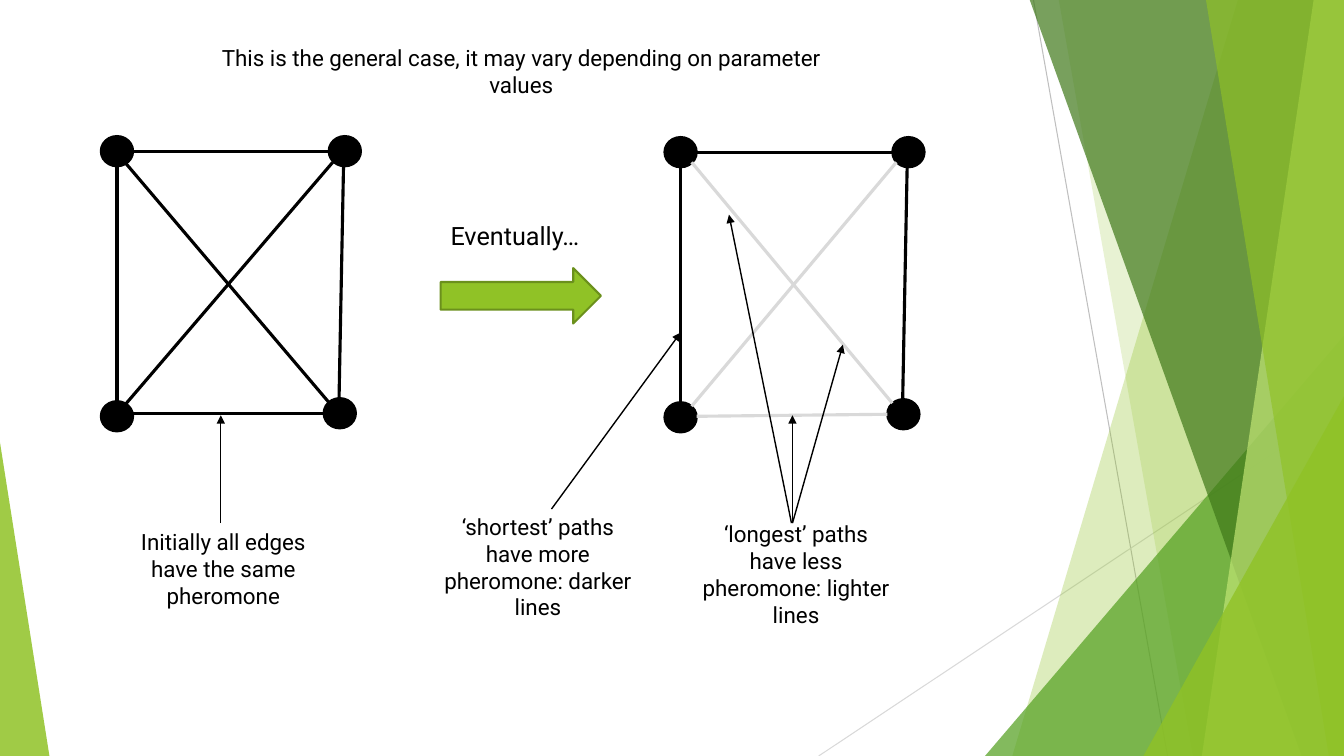
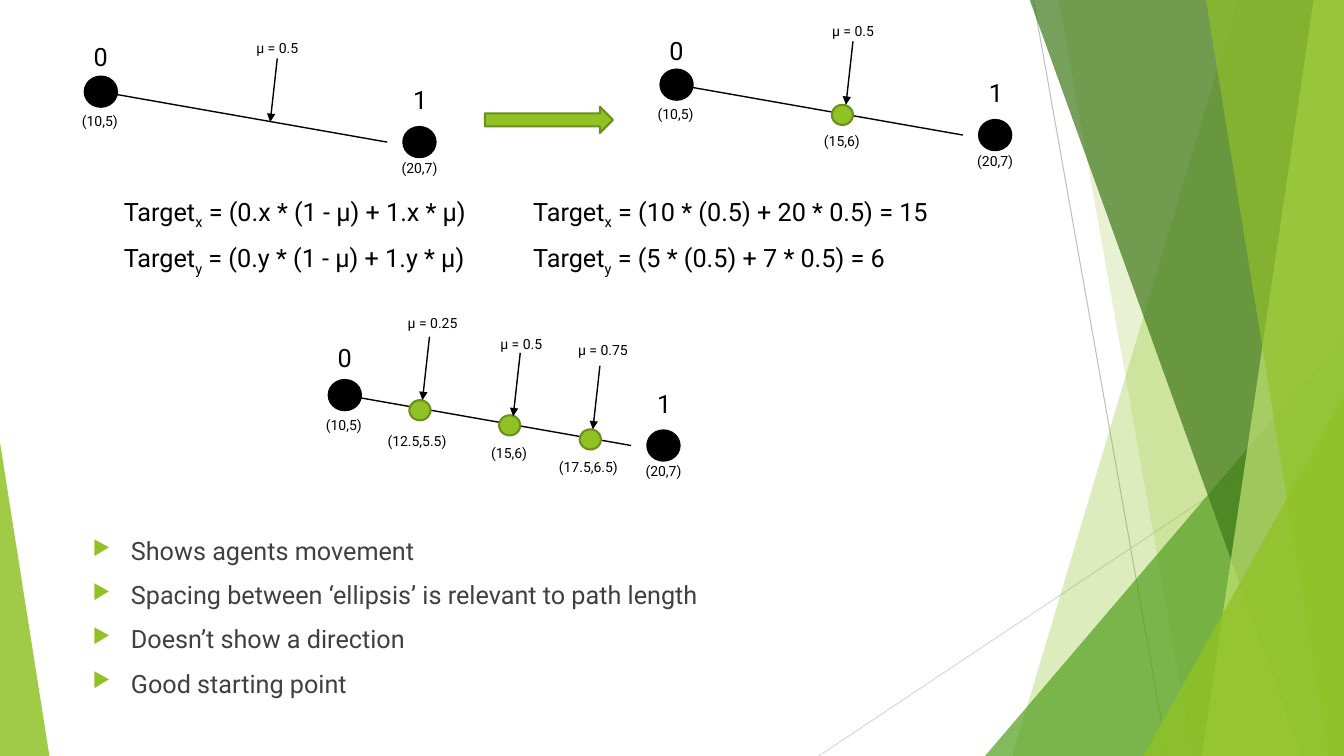
import lxml.etree
import pptx
import pptx.dml.color
import pptx.enum.shapes
import pptx.enum.text
import pptx.oxml.ns
import pptx.util

EMU_PER_PX = 9144
WIDTH, HEIGHT = 1333, 750
FONT = "Roboto"
BLACK, GREY, PALE = "000000", "404040", "D9D9D9"
GREEN, GREEN_EDGE = "90C226", "6B901C"
SHAPES = pptx.enum.shapes.MSO_SHAPE
ALIGN = pptx.enum.text.PP_ALIGN


def px(length):
    return pptx.util.Emu(length * EMU_PER_PX)


def rgb(color):
    return pptx.dml.color.RGBColor.from_string(color)


def add_xml(parent, tag, **attributes):
    return lxml.etree.SubElement(parent, pptx.oxml.ns.qn(tag), attributes)


def paint(shape, fill, edge=None, opacity=100):
    shape.shadow.inherit = False
    shape.fill.solid()
    shape.fill.fore_color.rgb = rgb(fill)
    if opacity < 100:
        tint = shape.element.spPr.find(".//" + pptx.oxml.ns.qn("a:srgbClr"))
        add_xml(tint, "a:alpha", val=str(opacity * 1000))
    if edge:
        shape.line.color.rgb = rgb(edge)
        shape.line.width = pptx.util.Pt(1.5)
    else:
        shape.line.fill.background()
    return shape


def add_preset(slide, preset, box, fill, edge=None, opacity=100):
    shape = slide.shapes.add_shape(preset, *map(px, box))
    return paint(shape, fill, edge, opacity)


def add_line(slide, start, end, color=BLACK, weight=1, arrow=False):
    line = slide.shapes.add_connector(
        pptx.enum.shapes.MSO_CONNECTOR.STRAIGHT, *map(px, (*start, *end)))
    line.line.color.rgb = rgb(color)
    line.line.width = pptx.util.Pt(weight)
    properties = line.element.spPr
    if arrow:
        add_xml(properties.find(pptx.oxml.ns.qn("a:ln")), "a:tailEnd", type="triangle")
    add_xml(properties, "a:effectLst")
    return line


def format_run(run, size, color=BLACK):
    run.font.name = FONT
    run.font.size = pptx.util.Pt(size)
    run.font.color.rgb = rgb(color)


def add_frame(slide, box):
    frame = slide.shapes.add_textbox(*map(px, box)).text_frame
    frame.word_wrap = True
    return frame


def add_label(slide, text, box, size, align=ALIGN.CENTER):
    frame = add_frame(slide, box)
    frame.text = text
    paragraph = frame.paragraphs[0]
    paragraph.alignment = align
    format_run(paragraph.runs[0], size)


def add_small_label(slide, text, left, top, width=78):
    add_label(slide, text, (left, top, width, 27), 10)


def add_formula(slide, top, axis, general, worked):
    paragraph = add_frame(slide, (113, top, 859, 40)).paragraphs[0]
    pieces = [("Target", False), (axis, True), (f" = {general}\tTarget", False),
              (axis, True), (f" = {worked}", False)]
    for text, subscript in pieces:
        run = paragraph.add_run()
        run.text = text
        format_run(run, 18)
        if subscript:
            run.font._element.set("baseline", "-25000")
    tabs = add_xml(paragraph._p.get_or_add_pPr(), "a:tabLst")
    add_xml(tabs, "a:tab", pos=str(px(406)), algn="l")


def add_bullets(slide, items, box):
    frame = add_frame(slide, box)
    frame.text = "\n".join(items)
    for paragraph in frame.paragraphs:
        paragraph.space_before = pptx.util.Pt(10)
        format_run(paragraph.runs[0], 18, GREY)
        properties = paragraph._p.get_or_add_pPr()
        properties.set("marL", str(px(38)))
        properties.set("indent", str(px(-38)))
        add_xml(add_xml(properties, "a:buClr"), "a:srgbClr", val=GREEN)
        add_xml(properties, "a:buSzPct", val="80000")
        add_xml(properties, "a:buChar", char="▶")


def add_band(slide, top_left, top_right, bottom_left, color, opacity):
    builder = slide.shapes.build_freeform(top_left, -1, scale=EMU_PER_PX)
    builder.add_line_segments(
        [(top_right, -1), (WIDTH, HEIGHT), (bottom_left, HEIGHT)], close=True)
    return paint(builder.convert_to_shape(), color, opacity=opacity)


def add_wedge(slide, box, apex, color, opacity):
    wedge = add_preset(slide, SHAPES.ISOSCELES_TRIANGLE, box, color, opacity=opacity)
    wedge.adjustments[0] = apex
    return wedge


def decorate_layout(layout, slide):
    for placeholder in list(layout.placeholders):
        layout.shapes.element.remove(placeholder.element)
    scenery = [
        add_line(slide, (1025, 0), (1158, 750), "BFBFBF", 0.75),
        add_line(slide, (1333, 403), (812, 750), PALE, 0.75),
        add_band(slide, 1228, WIDTH, 1004, GREEN, 30),
        add_band(slide, 1050, WIDTH, 1183, GREEN, 20),
        add_wedge(slide, (977, 333, 356, 417), 1, "54A021", 72),
        add_band(slide, 1021, WIDTH, 1291, "3F7819", 70),
        add_band(slide, 1303, WIDTH, 1192, "C0E474", 70),
        add_band(slide, 1196, WIDTH, 1318, GREEN, 65),
        add_wedge(slide, (1134, 393, 199, 357), 1, GREEN, 80),
        add_wedge(slide, (0, 439, 49, 311), 0, GREEN, 85),
    ]
    for part in scenery:
        layout.shapes.element.append(part.element)


def add_node(slide, left, top):
    add_preset(slide, SHAPES.OVAL, (left, top, 32, 30), BLACK, BLACK)


def add_graph(slide, left, top, weak_edges, weak_color):
    for dx, dy in [(0, 0), (0, 263), (221, 260), (226, 0)]:
        add_node(slide, left + dx, top + dy)
    strong_edges = [((16, 30), (16, 263)), ((22, 15), (241, 15)), ((241, 15), (236, 275))]
    for edge in strong_edges:
        add_line(slide, *[(left + dx, top + dy) for dx, dy in edge], weight=2.25)
    for start, end in weak_edges:
        add_line(slide, start, end, weak_color, 2.25)


def add_segment(slide, left, top, zero_top):
    right, low = left + 316, top + 50
    add_node(slide, left, top)
    add_node(slide, right, low)
    add_line(slide, (left + 16, top + 15), (right - 16, low + 15))
    add_label(slide, "0", (left - 1, zero_top, 32, 40), 18, ALIGN.LEFT)
    add_label(slide, "1", (right, low - 47, 32, 40), 18, ALIGN.LEFT)
    add_small_label(slide, "(10,5)", left - 24, top + 31)
    add_small_label(slide, "(20,7)", right - 23, low + 27)


def add_pointer(slide, value, label_at, tip):
    add_small_label(slide, f"µ = {value}", *label_at)
    add_line(slide, (tip[0] + 7, tip[1] - 63), tip, arrow=True)


def add_target(slide, left, top, coordinates, label_box):
    add_preset(slide, SHAPES.OVAL, (left, top, 21, 20), GREEN, GREEN_EDGE)
    add_small_label(slide, coordinates, *label_box)


def add_block_arrow(slide, box):
    add_preset(slide, SHAPES.RIGHT_ARROW, box, GREEN, GREEN_EDGE)


def build_pheromone_slide(slide):
    add_graph(slide, 100, 135, [
        ((112, 147), (326, 399)), ((117, 410), (337, 410)), ((116, 411), (330, 161))], BLACK)
    add_graph(slide, 659, 136, [
        ((686, 161), (885, 400)), ((691, 413), (880, 411)), ((686, 403), (889, 161))], PALE)
    for start, end in [((219, 519), (219, 412)), ((786, 519), (786, 412)),
                       ((786, 519), (836, 342)), ((785, 519), (723, 213)),
                       ((547, 505), (675, 330))]:
        add_line(slide, start, end, arrow=True)
    add_block_arrow(slide, (437, 266, 159, 55))
    add_label(slide, "Eventually…", (437, 214, 194, 40), 18, ALIGN.LEFT)
    for text, box in [
        ("Initially all edges have the same pheromone", (116, 519, 211, 91)),
        ("‘shortest’ paths have more pheromone: darker lines", (428, 504, 211, 118)),
        ("‘longest’ paths have less pheromone: lighter lines", (684, 511, 211, 118)),
        ("This is the general case, it may vary depending on parameter values",
         (201, 39, 632, 64)),
    ]:
        add_label(slide, text, box, 16)


def build_target_slide(slide):
    for left, top, zero_top in [(84, 76, 36), (655, 69, 30), (326, 377, 335)]:
        add_segment(slide, left, top, zero_top)
    for left, top, coordinates, label_box in [
        (825, 104, "(15,6)", (796, 127)),
        (406, 397, "(12.5,5.5)", (369, 424, 89)),
        (495, 412, "(15,6)", (466, 436)),
        (575, 426, "(17.5,6.5)", (539, 450, 89)),
    ]:
        add_target(slide, left, top, coordinates, label_box)
    for value, label_at, tip in [
        ("0.5", (236, 34), (268, 121)),
        ("0.5", (807, 17), (839, 104)),
        ("0.25", (390, 307), (419, 397)),
        ("0.5", (478, 328), (509, 413)),
        ("0.75", (559, 334), (588, 426)),
    ]:
        add_pointer(slide, value, label_at, tip)
    add_block_arrow(slide, (481, 106, 127, 26))
    add_formula(slide, 190, "x", "(0.x * (1 - µ) + 1.x * µ)", "(10 * (0.5) + 20 * 0.5) = 15")
    add_formula(slide, 236, "y", "(0.y * (1 - µ) + 1.y * µ)", "(5 * (0.5) + 7 * 0.5) = 6")
    add_bullets(slide, [
        "Shows agents movement",
        "Spacing between ‘ellipsis’ is relevant to path length",
        "Doesn’t show a direction",
        "Good starting point",
    ], (82, 526, 909, 169))


def main():
    deck = pptx.Presentation()
    deck.slide_width, deck.slide_height = px(WIDTH), px(HEIGHT)
    blank = deck.slide_layouts[6]
    pheromone_slide = deck.slides.add_slide(blank)
    decorate_layout(blank, pheromone_slide)
    build_pheromone_slide(pheromone_slide)
    build_target_slide(deck.slides.add_slide(blank))
    deck.save("out.pptx")


if __name__ == "__main__":
    main()
